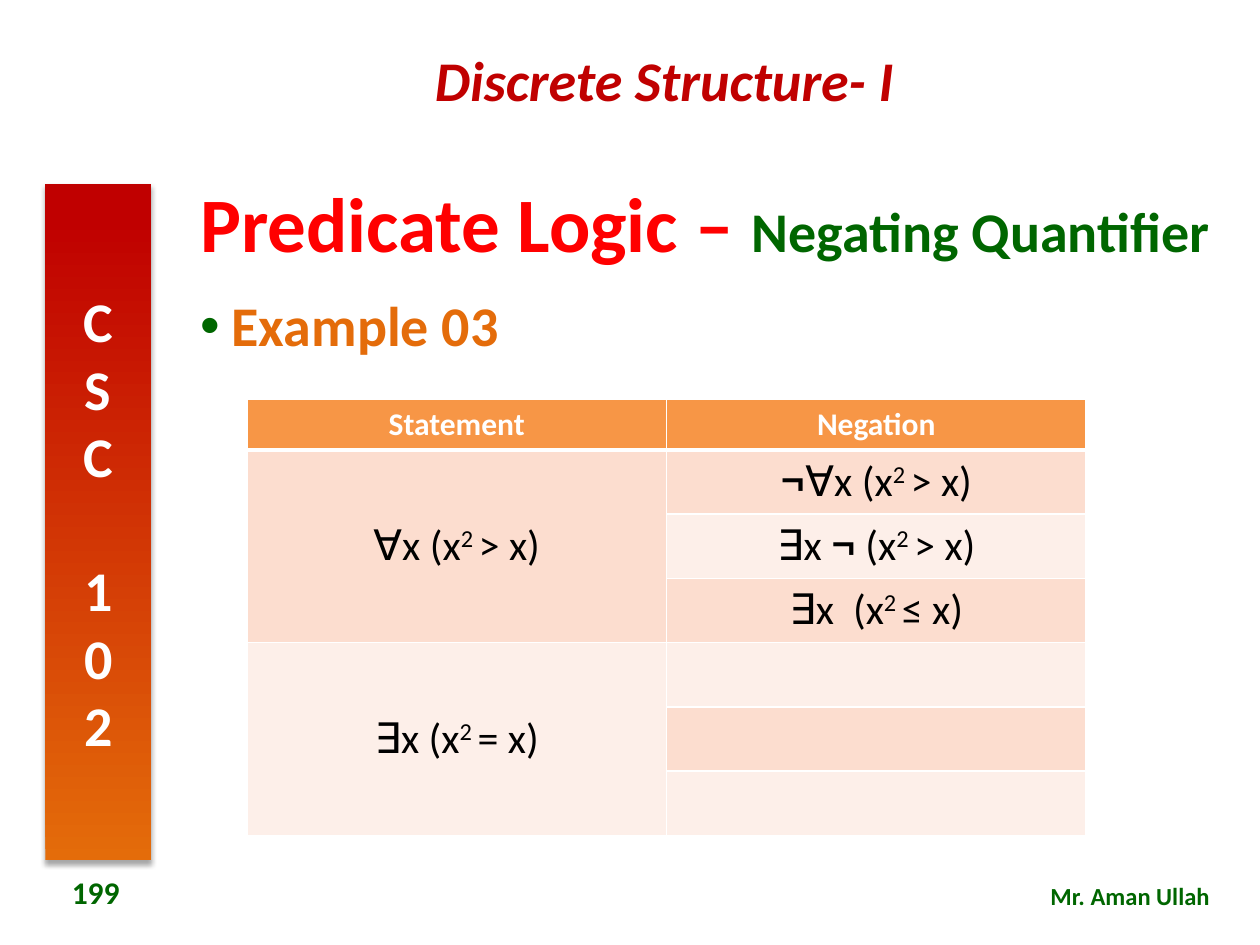
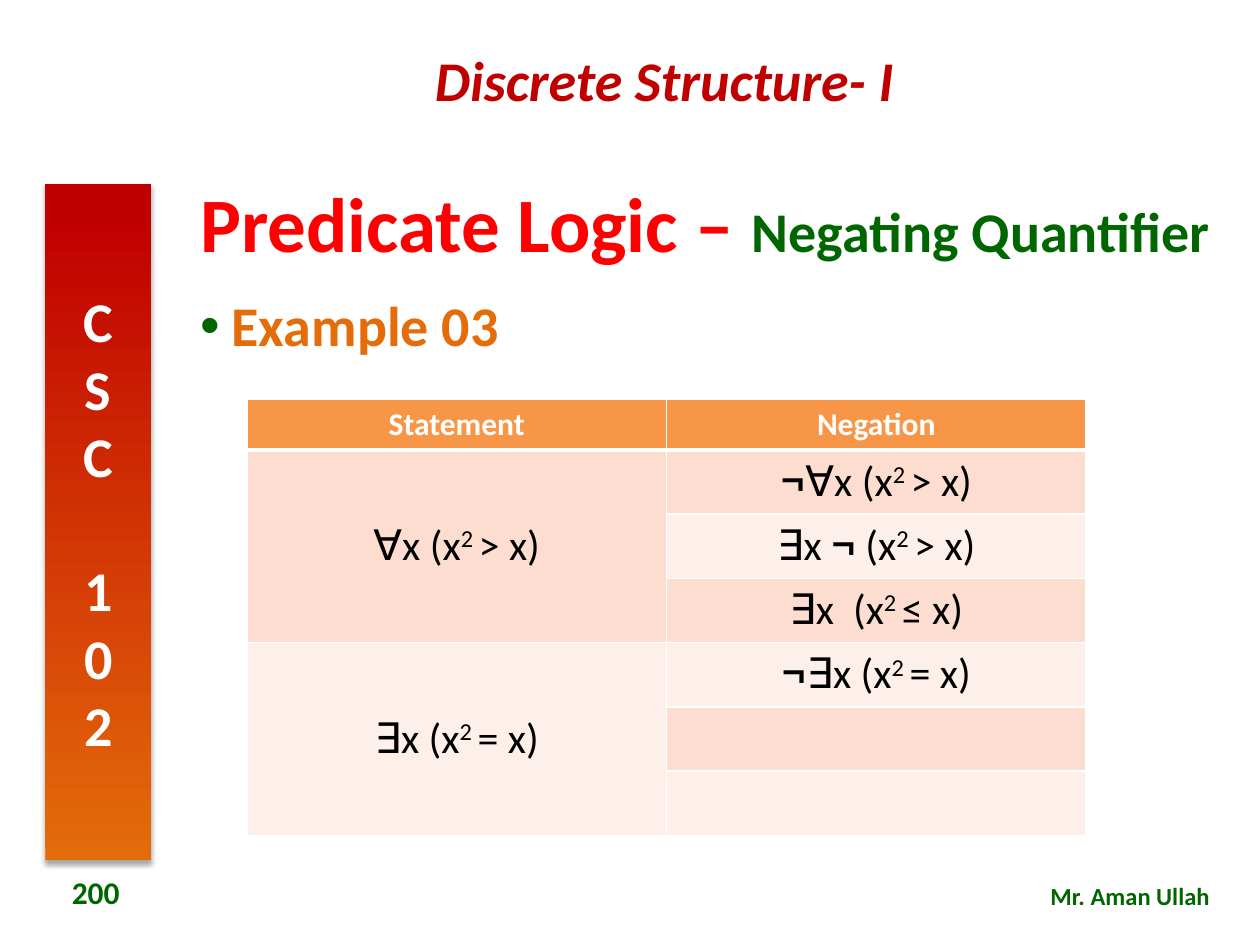
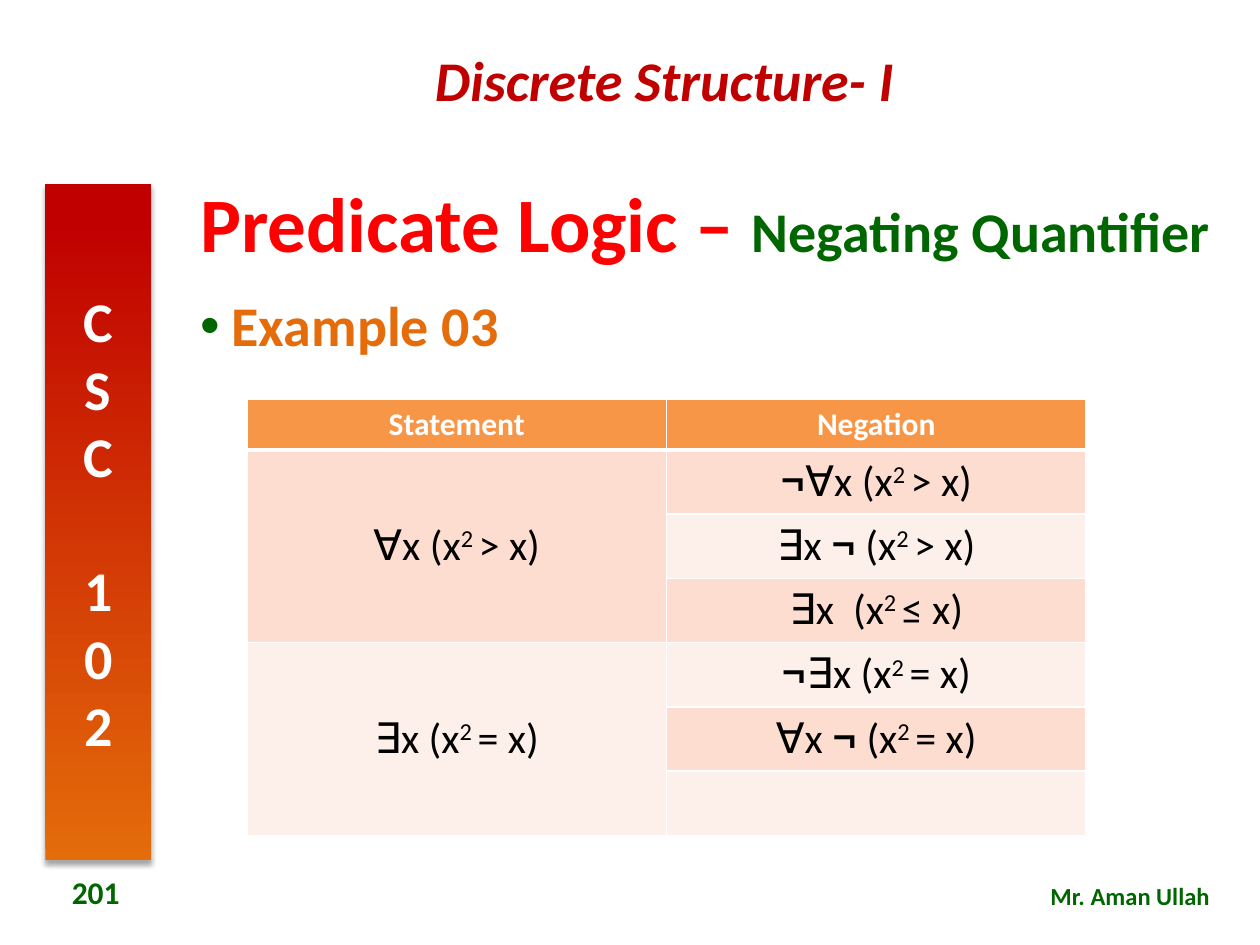
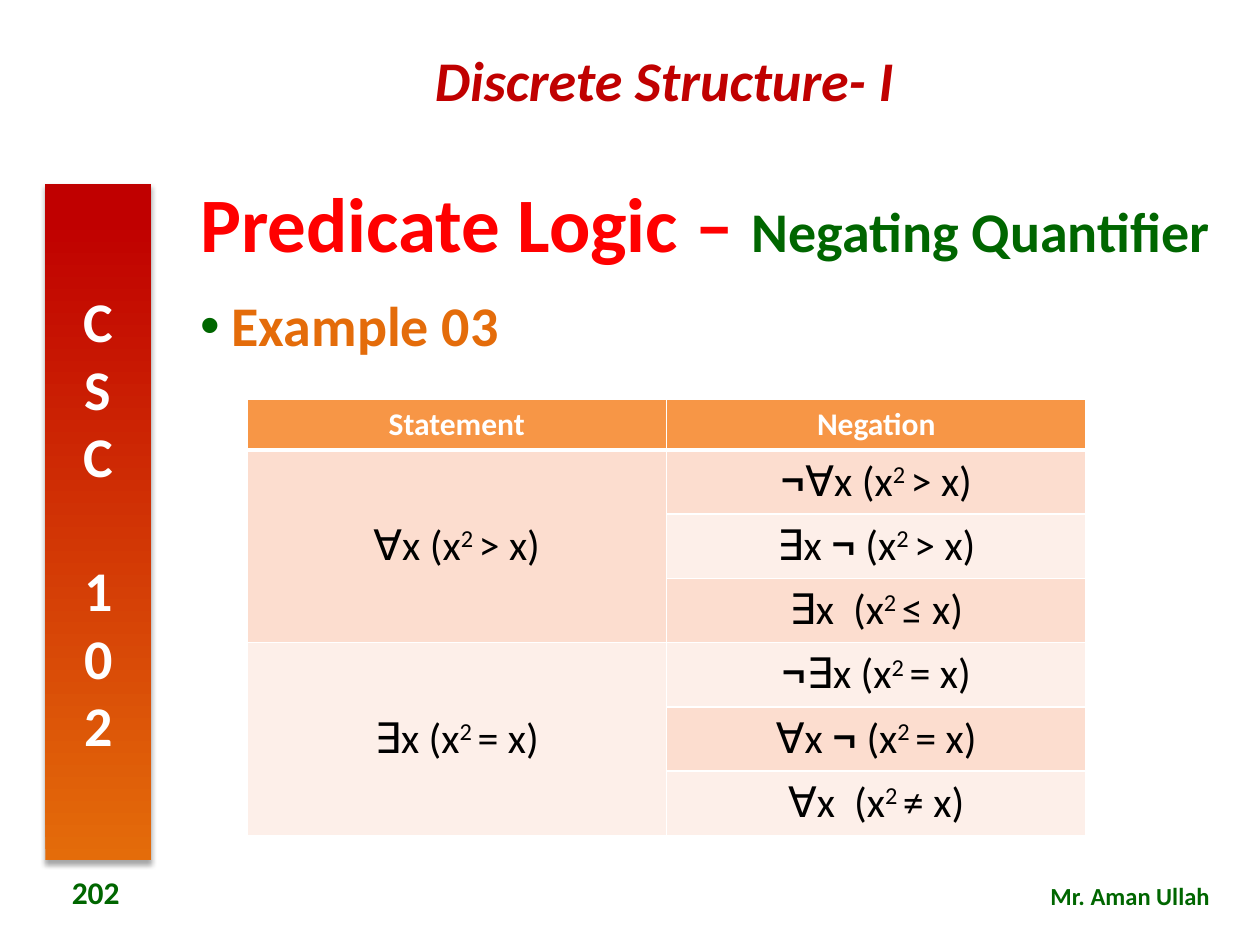
from lxml.etree import SubElement
from pptx import Presentation
from pptx.dml.color import RGBColor
from pptx.enum.shapes import MSO_SHAPE
from pptx.enum.text import MSO_ANCHOR as Anchor, MSO_AUTO_SIZE as AutoSize, PP_ALIGN as Align
from pptx.oxml import parse_xml
from pptx.oxml.ns import nsdecls, qn
from pptx.util import Inches, Pt

COLORS = {
    "crimson": "C00000",
    "orange": "E46C0A",
    "red": "FF0000",
    "green": "006600",
    "header": "F79646",
    "dark_band": "FCDDCF",
    "light_band": "FDEFE9",
    "white": "FFFFFF",
    "black": "000000",
}
FONT = "Calibri"
SYMBOL_FONT = "Cambria"

COURSE = "Discrete Structure- I"
COURSE_CODE = "CSC 102"
TEACHER = "Mr. Aman Ullah"
TITLE_PARTS = [("Predicate Logic – ", 44, "red"), ("Negating Quantifier", 32, "green")]
TOPIC = "Example 03"
HEADINGS = ["Statement", "Negation"]
EXAMPLES = [
    ("∀x (x² > x)", ["¬∀x (x² > x)", "∃x ¬ (x² > x)", "∃x  (x² ≤ x)"]),
    ("∃x (x² = x)", ["¬∃x (x² = x)", "∀x ¬ (x² = x)", "∀x  (x² ≠ x)"]),
]
PAGES = [(199, 3), (200, 4), (201, 5), (202, 6)]

COLUMN_WIDTH, HEADER_HEIGHT, ROW_HEIGHT = 3.33, 0.39, 0.51


def rgb(name):
    return RGBColor.from_string(COLORS[name])


def style(span, size, color, bold=True, italic=False, name=FONT):
    font = span.font
    font.name, font.size, font.bold, font.italic = name, Pt(size), bold, italic
    font.color.rgb = rgb(color)


def place(shape, left, top, width, height):
    shape.left, shape.top = Inches(left), Inches(top)
    shape.width, shape.height = Inches(width), Inches(height)


def add_label(page, area, text, size, color, align, italic=False):
    box = page.shapes.add_textbox(*map(Inches, area))
    frame = box.text_frame
    frame.word_wrap = True
    frame.text = text
    para = frame.paragraphs[0]
    para.alignment = align
    style(para.runs[0], size, color, italic=italic)
    return box


def add_course_bar(page):
    bar = page.shapes.add_shape(
        MSO_SHAPE.RECTANGLE, Inches(0.36), Inches(1.46), Inches(0.84), Inches(5.37))
    bar.line.fill.background()
    bar.fill.gradient()
    bar.fill.gradient_angle = 90
    for stop, position, color in zip(bar.fill.gradient_stops, (0, 0.95), ("orange", "crimson")):
        stop.position = position
        stop.color.rgb = rgb(color)
    bar.element.spPr.append(parse_xml(
        f'<a:effectLst {nsdecls("a")}>'
        f'<a:outerShdw blurRad="{Pt(3.1)}" dist="{Pt(1.8)}" dir="5400000" rotWithShape="0">'
        f'<a:srgbClr val="{COLORS["black"]}"><a:alpha val="35000"/></a:srgbClr>'
        '</a:outerShdw></a:effectLst>'))
    frame = bar.text_frame
    frame.text = COURSE_CODE
    frame.vertical_anchor = Anchor.MIDDLE
    frame.paragraphs[0].alignment = Align.CENTER
    style(frame.paragraphs[0].runs[0], 32, "white")
    bar.element.txBody.find(qn("a:bodyPr")).set("vert", "wordArtVert")
    return bar


def furnish_layout(layout, page):
    for holder in list(layout.placeholders)[1:]:
        holder.element.getparent().remove(holder.element)
    course = add_label(page, (2.11, 0.31, 6.33, 0.64), COURSE, 32, "crimson", Align.CENTER, True)
    bar = add_course_bar(page)
    teacher = add_label(page, (6.8, 6.94, 2.9, 0.34), TEACHER, 14, "green", Align.RIGHT)
    for shape in (course, bar, teacher):
        layout.shapes.element.append(shape.element)


def set_title(page):
    title = page.shapes.title
    place(title, 1.49, 1.36, 8.39, 0.89)
    frame = title.text_frame
    frame.vertical_anchor = Anchor.MIDDLE
    frame.auto_size = AutoSize.NONE
    para = frame.paragraphs[0]
    para.alignment = Align.LEFT
    para.line_spacing = 0.9
    for text, size, color in TITLE_PARTS:
        span = para.add_run()
        span.text = text
        style(span, size, color)


def add_topic(page):
    box = add_label(page, (1.49, 2.32, 8.39, 4.91), TOPIC, 32, "orange", Align.JUSTIFY)
    para = box.text_frame.paragraphs[0]
    para.line_spacing = 0.9
    props = para._p.get_or_add_pPr()
    props.set("marL", str(Inches(0.25)))
    props.set("indent", str(-Inches(0.25)))
    bullet_color = SubElement(props, qn("a:buClr"))
    SubElement(bullet_color, qn("a:srgbClr"), val=COLORS["green"])
    SubElement(props, qn("a:buFont"), typeface="Arial")
    SubElement(props, qn("a:buChar"), char="•")


def split_formula(formula):
    parts = []
    for mark in formula:
        kind = {"¬": "symbol", "²": "power"}.get(mark, "plain")
        if parts and (mark == " " or kind == parts[-1][0]):
            parts[-1][1] += mark
        else:
            parts.append([kind, mark])
    return parts


def write_formula(cell, formula):
    para = cell.text_frame.paragraphs[0]
    para.alignment = Align.CENTER
    for kind, text in split_formula(formula):
        span = para.add_run()
        span.text = text.replace("²", "2")
        symbol = kind == "symbol"
        style(span, 24, "black", bold=symbol, name=SYMBOL_FONT if symbol else FONT)
        if kind == "power":
            span.font._element.set("baseline", "30000")


def paint_cell(cell, color, bottom=1):
    props = cell._tc.get_or_add_tcPr()
    for side, width in (("L", 1), ("R", 1), ("T", 1), ("B", bottom)):
        line = SubElement(props, qn(f"a:ln{side}"), w=str(Pt(width)))
        SubElement(SubElement(line, qn("a:solidFill")), qn("a:srgbClr"), val=COLORS["white"])
    cell.fill.solid()
    cell.fill.fore_color.rgb = rgb(color)


def add_negations(page, shown):
    negations = [(statement, text) for statement, texts in EXAMPLES for text in texts]
    count = len(negations)
    holder = page.shapes.add_table(
        count + 1, 2, Inches(1.96), Inches(3.17),
        Inches(2 * COLUMN_WIDTH), Inches(HEADER_HEIGHT + count * ROW_HEIGHT))
    table = holder.table
    table.horz_banding = False
    for column in table.columns:
        column.width = Inches(COLUMN_WIDTH)
    for index, row in enumerate(table.rows):
        row.height = Inches(ROW_HEIGHT if index else HEADER_HEIGHT)

    for index, heading in enumerate(HEADINGS):
        cell = table.cell(0, index)
        paint_cell(cell, "header", bottom=3)
        cell.text_frame.text = heading
        para = cell.text_frame.paragraphs[0]
        para.alignment = Align.CENTER
        style(para.runs[0], 18, "white")

    bands = ("dark_band", "light_band")
    for index, (_, negation) in enumerate(negations):
        cell = table.cell(index + 1, 1)
        paint_cell(cell, bands[index % 2])
        if index < shown:
            write_formula(cell, negation)

    first = 1
    for band, (statement, texts) in zip(bands, EXAMPLES):
        last = first + len(texts) - 1
        for index in range(first, last + 1):
            paint_cell(table.cell(index, 0), band)
        cell = table.cell(first, 0)
        cell.merge(table.cell(last, 0))
        cell.vertical_anchor = Anchor.MIDDLE
        write_formula(cell, statement)
        first = last + 1


def main():
    deck = Presentation()
    deck.slide_width, deck.slide_height = Inches(10), Inches(7.5)
    layout = deck.slide_layouts[5]
    for index, (number, shown) in enumerate(PAGES):
        page = deck.slides.add_slide(layout)
        if index == 0:
            furnish_layout(layout, page)
        set_title(page)
        add_topic(page)
        number_box = add_label(page, (0.24, 6.88, 1.04, 0.4), str(number), 18, "green", Align.CENTER)
        number_box.text_frame.vertical_anchor = Anchor.MIDDLE
        add_negations(page, shown)
    deck.save("out.pptx")


if __name__ == "__main__":
    main()
